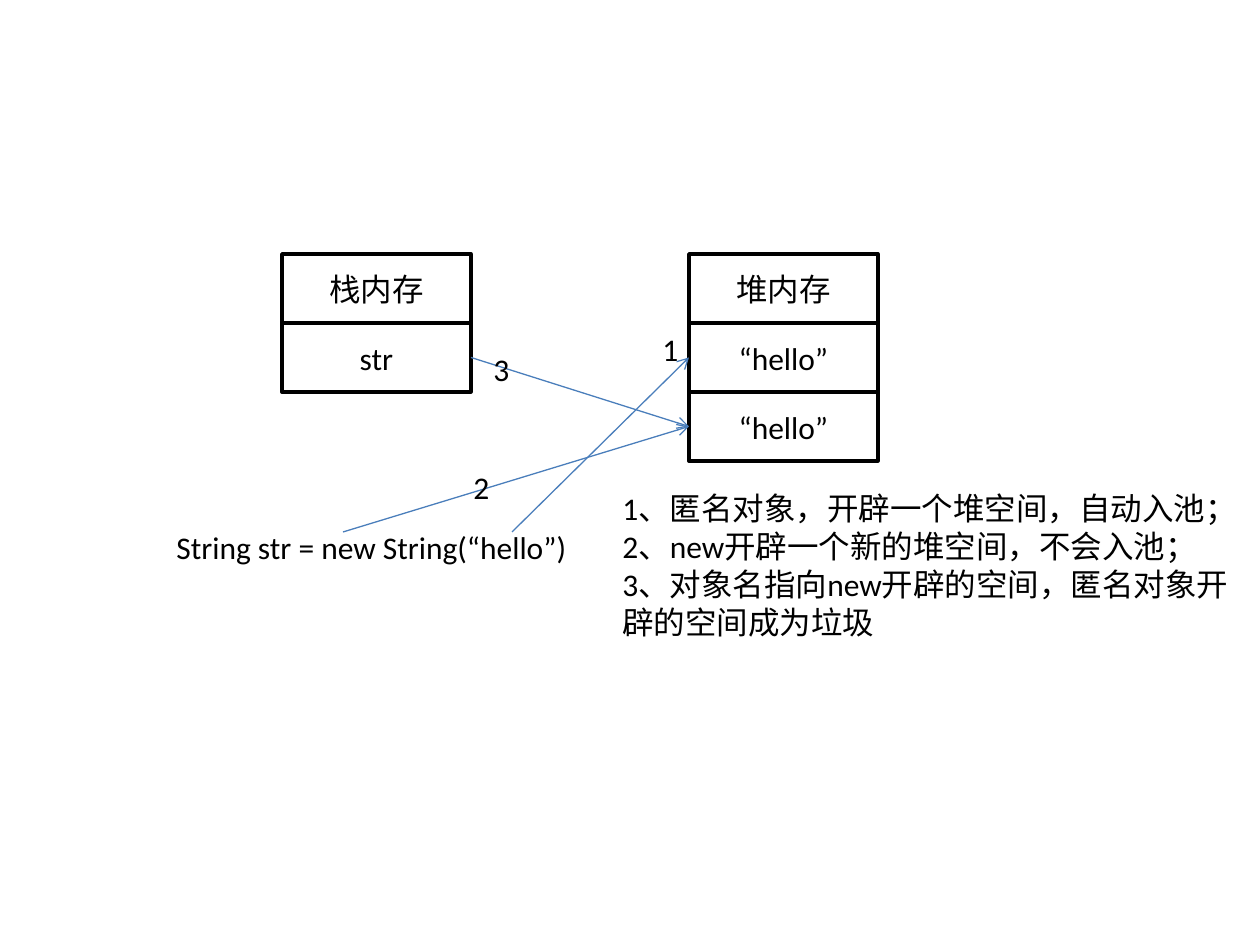
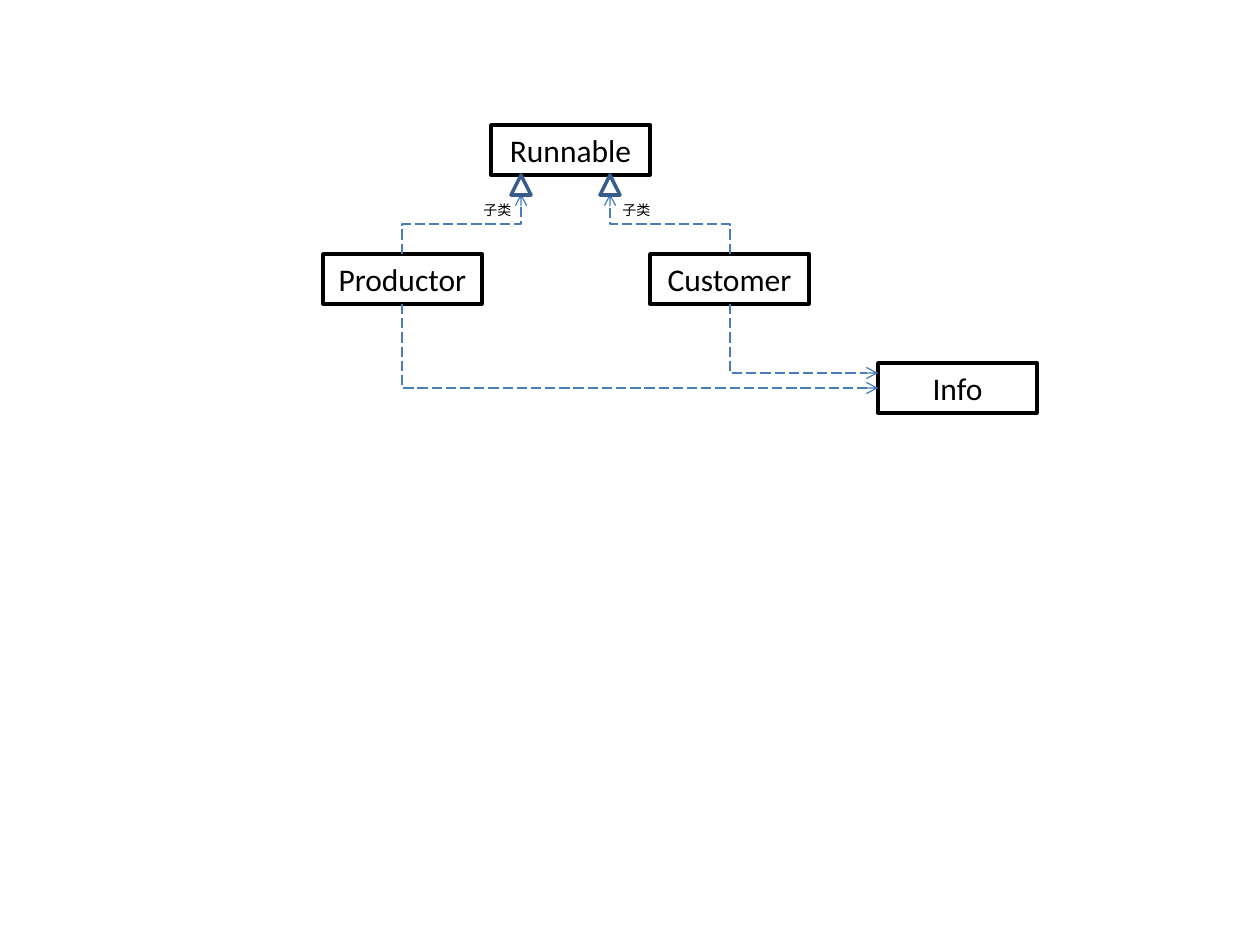
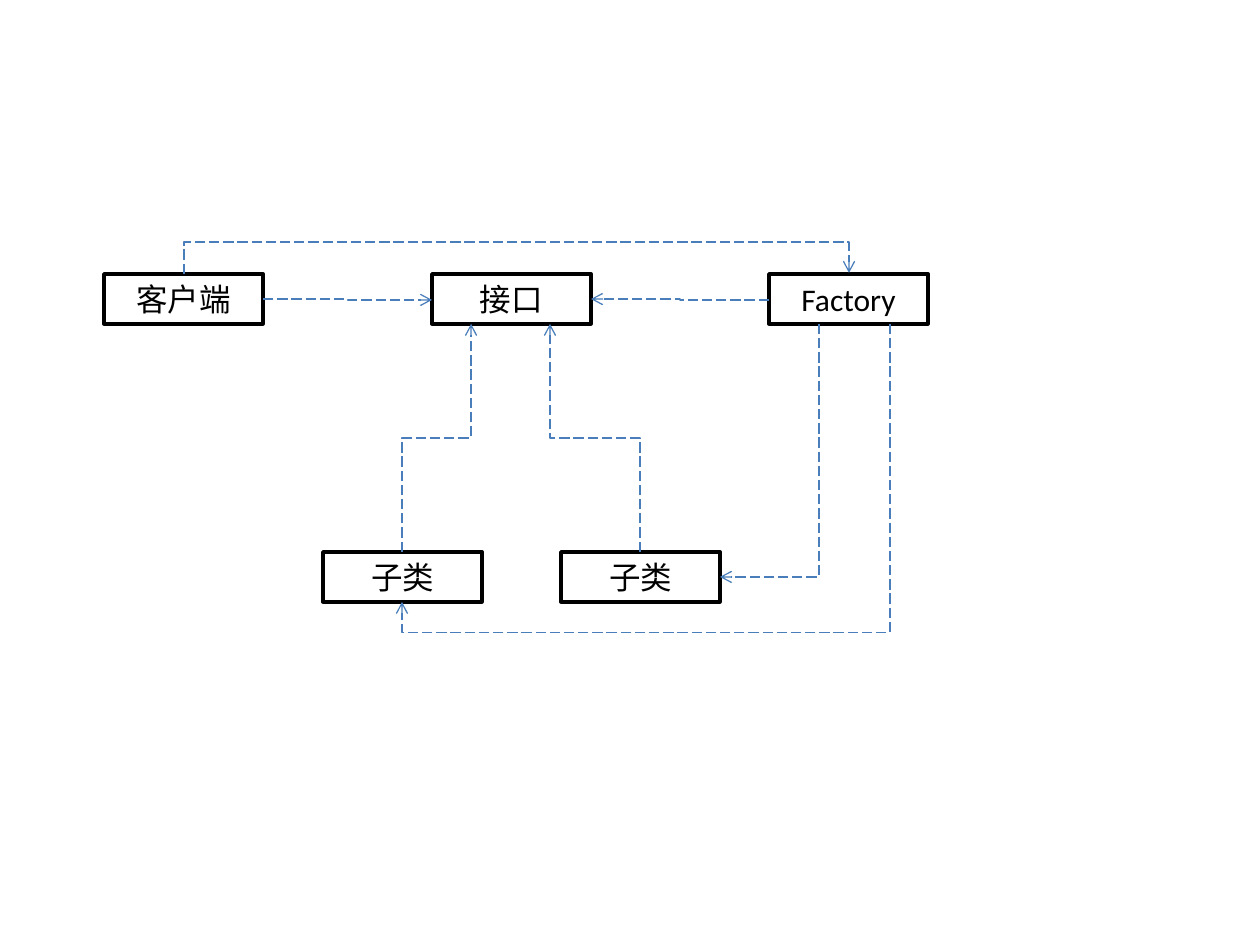
from dataclasses import dataclass

from lxml.etree import SubElement
from pptx import Presentation
from pptx.dml.color import RGBColor
from pptx.enum.dml import MSO_LINE
from pptx.enum.shapes import MSO_CONNECTOR, MSO_SHAPE
from pptx.enum.text import MSO_ANCHOR, MSO_AUTO_SIZE, PP_ALIGN
from pptx.oxml.ns import qn
from pptx.util import Emu, Pt


@dataclass(frozen=True)
class Theme:
    ink: RGBColor = RGBColor(0, 0, 0)
    paper: RGBColor = RGBColor(255, 255, 255)
    link: RGBColor = RGBColor(0x4A, 0x7E, 0xBB)
    edge: RGBColor = RGBColor(0x38, 0x5D, 0x8A)
    font: str = "Calibri"
    tag_font: str = "Arial"
    body: int = 18
    tag: int = 8
    thick: int = 2
    thin: float = 0.75


THEME = Theme()
SCALE = 914400 // 126  # EMU in one px
CLASS = (159, 50)  # size of a class box
CELL = (189, 69)  # size of a memory cell

# Turn and flips of an elbow, by (starts upright, goes right, goes down)
TURNS = {
    (True, True, True): (270, "H"),
    (True, False, True): (90, ""),
    (True, True, False): (90, "HV"),
    (True, False, False): (270, "V"),
    (False, True, True): (0, ""),
    (False, False, True): (0, "H"),
    (False, True, False): (0, "V"),
    (False, False, False): (180, ""),
}


def px(*nums):
    return [Emu(round(num * SCALE)) for num in nums]


# Text and shapes
def write(frame, lines, size=THEME.body, font=THEME.font, align=PP_ALIGN.LEFT):
    for i, line in enumerate(lines):
        para = frame.paragraphs[0] if i == 0 else frame.add_paragraph()
        para.alignment = align
        run = para.add_run()
        run.text = line
        run.font.size = Pt(size)
        run.font.name = font
        run.font.color.rgb = THEME.ink


def add_text(slide, lines, area, wrap=True, **style):
    frame = slide.shapes.add_textbox(*px(*area)).text_frame
    frame.word_wrap = wrap
    frame.auto_size = MSO_AUTO_SIZE.SHAPE_TO_FIT_TEXT
    write(frame, lines, **style)


def add_form(slide, kind, area, color):
    form = slide.shapes.add_shape(kind, *px(*area))
    form.shadow.inherit = False
    form.fill.solid()
    form.fill.fore_color.rgb = THEME.paper
    form.line.color.rgb = color
    form.line.width = Pt(THEME.thick)
    return form


def add_box(slide, label, left, top, size=CLASS):
    box = add_form(slide, MSO_SHAPE.RECTANGLE, (left, top, *size), THEME.ink)
    box.text_frame.word_wrap = True
    box.text_frame.vertical_anchor = MSO_ANCHOR.MIDDLE
    write(box.text_frame, [label], align=PP_ALIGN.CENTER)
    return box


def add_stack(slide, labels, left, top):
    return [add_box(slide, label, left, top + i * CELL[1], CELL)
            for i, label in enumerate(labels)]


# Arrows
def add_arrow(slide, start, end, kind=MSO_CONNECTOR.STRAIGHT, dash=None):
    arrow = slide.shapes.add_connector(kind, *px(*start, *end))
    arrow.line.color.rgb = THEME.link
    arrow.line.width = Pt(THEME.thin)
    if dash:
        arrow.line.dash_style = dash
    props = arrow._element.spPr
    SubElement(props.find(qn("a:ln")), qn("a:tailEnd"), type="arrow")
    SubElement(props, qn("a:effectLst"))
    return arrow


def add_elbow(slide, start, end, upright=True, bends=(0.5,)):
    """Dashed elbow; bends are shares of the way, none for a single corner."""
    arrow = add_arrow(slide, start, end, MSO_CONNECTOR.ELBOW, MSO_LINE.LONG_DASH)
    (x1, y1), (x2, y2) = start, end
    wide, high = abs(x2 - x1), abs(y2 - y1)
    if upright:
        wide, high = high, wide
    left, top = (x1 + x2 - wide) / 2, (y1 + y2 - high) / 2
    arrow.left, arrow.top, arrow.width, arrow.height = px(left, top, wide, high)

    turn, flips = TURNS[upright, x2 > x1, y2 > y1]
    frame = arrow._element.spPr.find(qn("a:xfrm"))
    frame.set("rot", str(turn * 60000))
    for axis in "HV":
        frame.set("flip" + axis, str(int(axis in flips)))

    geom = arrow._element.spPr.find(qn("a:prstGeom"))
    geom.set("prst", f"bentConnector{len(bends) + 2}")
    guides = geom.find(qn("a:avLst"))
    for i, bend in enumerate(bends, 1):
        SubElement(guides, qn("a:gd"), name=f"adj{i}",
                   fmla=f"val {round(bend * 100000)}")


# Slides
def draw_heap(slide):
    stack = add_stack(slide, ["栈内存", "str"], 282, 254)
    heap = add_stack(slide, ["堆内存", "“hello”", "“hello”"], 689, 254)
    add_text(slide, ["String str = new String(“hello”)"], (164, 522, 615, 50))

    for start, cell in (((512, 532), heap[1]), ((343, 532), heap[2])):
        add_arrow(slide, start, start).end_connect(cell, 1)
    bond = add_arrow(slide, (471, 358), (689, 427))
    bond.begin_connect(stack[1], 3)
    bond.end_connect(heap[2], 1)

    for step, left, top in (("1", 650, 324), ("3", 481, 344), ("2", 461, 462)):
        add_text(slide, [step], (left, top, 40, 50), wrap=False)
    add_text(slide, [
        "1、匿名对象，开辟一个堆空间，自动入池；",
        "2、new开辟一个新的堆空间，不会入池；",
        "3、对象名指向new开辟的空间，匿名对象开辟的空间成为垃圾",
    ], (610, 483, 650, 164))


def draw_threads(slide):
    for name, left, top in (("Runnable", 491, 125), ("Productor", 323, 254),
                            ("Customer", 650, 254), ("Info", 878, 363)):
        add_box(slide, name, left, top)

    # Each child: its middle, the tip it points to, its tag, its way to Info
    for mid, tip, tag, low in ((402, 521, 471, 388), (730, 610, 610, 373)):
        add_elbow(slide, (mid, 254), (tip, 194))
        add_form(slide, MSO_SHAPE.ISOSCELES_TRIANGLE,
                 (tip - 10, 175, 20, 20), THEME.edge)
        add_text(slide, ["子类"], (tag, 195, 79, 30),
                 size=THEME.tag, font=THEME.tag_font)
        add_elbow(slide, (mid, 304), (878, low), bends=())


def draw_plant(slide):
    for name, left, top in (("Factory", 769, 274), ("接口", 432, 274),
                            ("子类", 323, 552), ("子类", 561, 552),
                            ("客户端", 104, 274)):
        add_box(slide, name, left, top)

    # Children to the interface
    add_elbow(slide, (402, 552), (471, 324))
    add_elbow(slide, (640, 552), (550, 324))
    # Factory and client to the interface
    add_elbow(slide, (769, 300), (591, 299), upright=False)
    add_elbow(slide, (263, 299), (432, 300), upright=False)
    # Client to factory, factory to children
    add_elbow(slide, (184, 274), (849, 273), bends=(32,))
    add_elbow(slide, (819, 324), (720, 577), bends=())
    add_elbow(slide, (890, 324), (402, 602), upright=False, bends=(0, 1.11))


def main():
    deck = Presentation()
    deck.slide_width, deck.slide_height = px(1260, 945)
    blank = deck.slide_layouts[6]
    for draw in (draw_heap, draw_threads, draw_plant):
        draw(deck.slides.add_slide(blank))
    deck.save("out.pptx")


if __name__ == "__main__":
    main()
